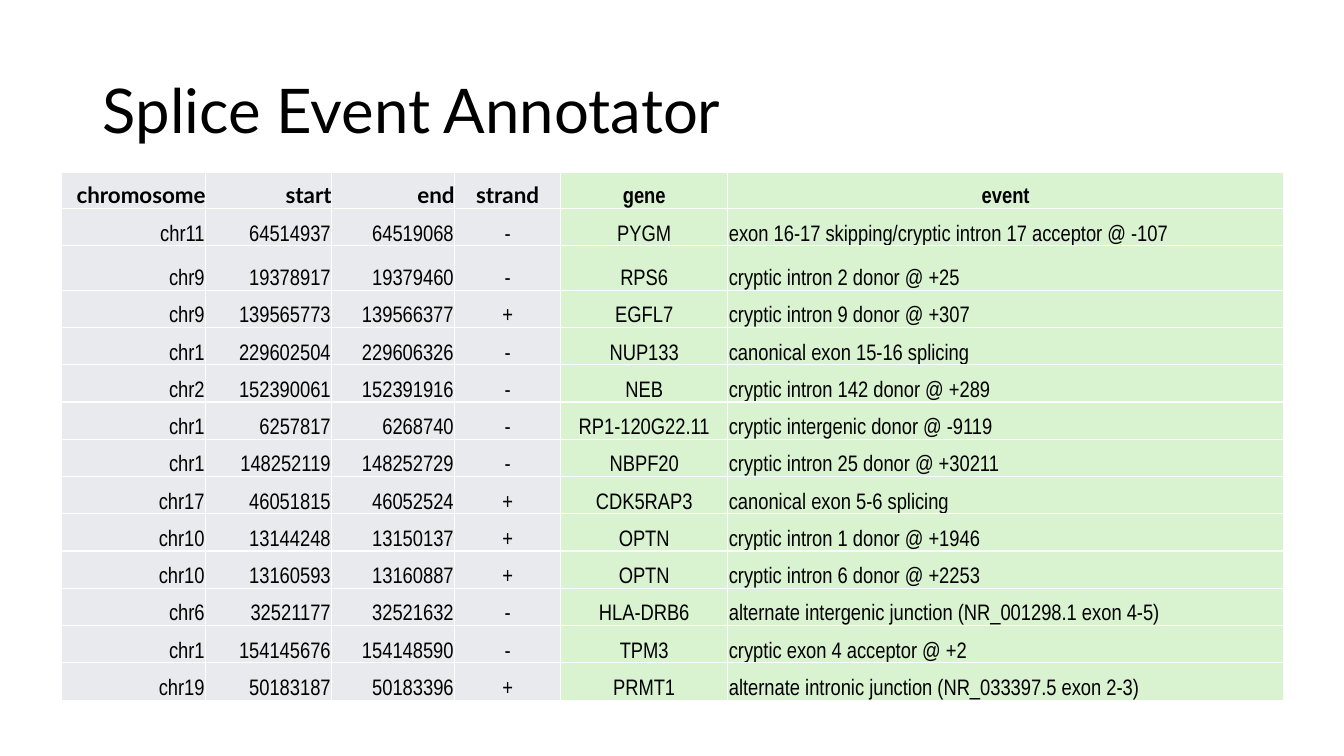
from lxml.etree import SubElement
from pptx import Presentation
from pptx.dml.color import RGBColor
from pptx.enum.text import MSO_ANCHOR as ANCHOR, PP_ALIGN as ALIGN
from pptx.oxml.ns import qn
from pptx.util import Pt

PX = 9144  # EMU per px, 100 px to the inch
BLACK = RGBColor(0x00, 0x00, 0x00)
GREY = RGBColor(0xE8, 0xEA, 0xED)
GREEN = RGBColor(0xD9, 0xF2, 0xD0)
WHITE = RGBColor(0xFF, 0xFF, 0xFF)

# width, alignment, fill, header font
COLUMNS = [
    (143, ALIGN.RIGHT, GREY, "Lato"),
    (125, ALIGN.RIGHT, GREY, "Lato"),
    (122, ALIGN.RIGHT, GREY, "Lato"),
    (105, ALIGN.CENTER, GREY, "Lato"),
    (166, ALIGN.CENTER, GREEN, "Arial Narrow"),
    (551, ALIGN.LEFT, GREEN, "Arial Narrow"),
]
HEADER = ("chromosome", "start", "end", "strand", "gene", "event")
EVENTS = [
    ("chr11", 64514937, 64519068, "-", "PYGM", "exon 16-17 skipping/cryptic intron 17 acceptor @ -107"),
    ("chr9", 19378917, 19379460, "-", "RPS6", "cryptic intron 2 donor @ +25"),
    ("chr9", 139565773, 139566377, "+", "EGFL7", "cryptic intron 9 donor @ +307"),
    ("chr1", 229602504, 229606326, "-", "NUP133", "canonical exon 15-16 splicing"),
    ("chr2", 152390061, 152391916, "-", "NEB", "cryptic intron 142 donor @ +289"),
    ("chr1", 6257817, 6268740, "-", "RP1-120G22.11", "cryptic intergenic donor @ -9119"),
    ("chr1", 148252119, 148252729, "-", "NBPF20", "cryptic intron 25 donor @ +30211"),
    ("chr17", 46051815, 46052524, "+", "CDK5RAP3", "canonical exon 5-6 splicing"),
    ("chr10", 13144248, 13150137, "+", "OPTN", "cryptic intron 1 donor @ +1946"),
    ("chr10", 13160593, 13160887, "+", "OPTN", "cryptic intron 6 donor @ +2253"),
    ("chr6", 32521177, 32521632, "-", "HLA-DRB6", "alternate intergenic junction (NR_001298.1 exon 4-5)"),
    ("chr1", 154145676, 154148590, "-", "TPM3", "cryptic exon 4 acceptor @ +2"),
    ("chr19", 50183187, 50183396, "+", "PRMT1", "alternate intronic junction (NR_033397.5 exon 2-3)"),
]
ROW_HEIGHTS = [36, 37, 44] + [37] * 11


def write(p, text, font, size, bold=False):
    r = p.add_run()
    r.text = text
    r.font.color.rgb = BLACK
    for name, value in {"name": font, "size": Pt(size), "bold": bold}.items():
        setattr(r.font, name, value)


def add_borders(cell):
    tc_pr = cell._tc.get_or_add_tcPr()
    for side in ("lnL", "lnR", "lnT", "lnB"):
        ln = SubElement(tc_pr, qn(f"a:{side}"), w=str(Pt(1)))
        fill = SubElement(ln, qn("a:solidFill"))
        SubElement(fill, qn("a:srgbClr"), val=str(WHITE))


prs = Presentation()
prs.slide_width, prs.slide_height = 1333 * PX, 750 * PX
s = prs.slides.add_slide(prs.slide_layouts[5])

title = s.shapes.title
title.left, title.top, title.width, title.height = 92 * PX, 40 * PX, 1150 * PX, 145 * PX
title.text_frame.vertical_anchor = ANCHOR.MIDDLE
p = title.text_frame.paragraphs[0]
p.alignment, p.line_spacing = ALIGN.LEFT, 0.9
write(p, "Splice Event Annotator", "Lato", 44)

rows = [HEADER] + EVENTS
frame = s.shapes.add_table(len(rows), len(COLUMNS), 61 * PX, 171 * PX, 1212 * PX, 525 * PX)
table = frame.table
for column, (width, *_) in zip(table.columns, COLUMNS):
    column.width = width * PX
for row, height in zip(table.rows, ROW_HEIGHTS):
    row.height = height * PX

for i, values in enumerate(rows):
    is_header = i == 0
    inset = 0 if is_header else PX
    cell_format = {"vertical_anchor": ANCHOR.BOTTOM, "margin_left": inset,
                   "margin_right": inset, "margin_top": inset, "margin_bottom": 0}
    for j, (_, alignment, color, header_font) in enumerate(COLUMNS):
        cell = table.cell(i, j)
        for name, value in cell_format.items():
            setattr(cell, name, value)
        add_borders(cell)
        cell.fill.solid()
        cell.fill.fore_color.rgb = color
        p = cell.text_frame.paragraphs[0]
        p.alignment = ALIGN.CENTER if is_header and values[j] == "event" else alignment
        write(p, str(values[j]), header_font if is_header else "Arial Narrow", 16, is_header)

prs.save("out.pptx")
